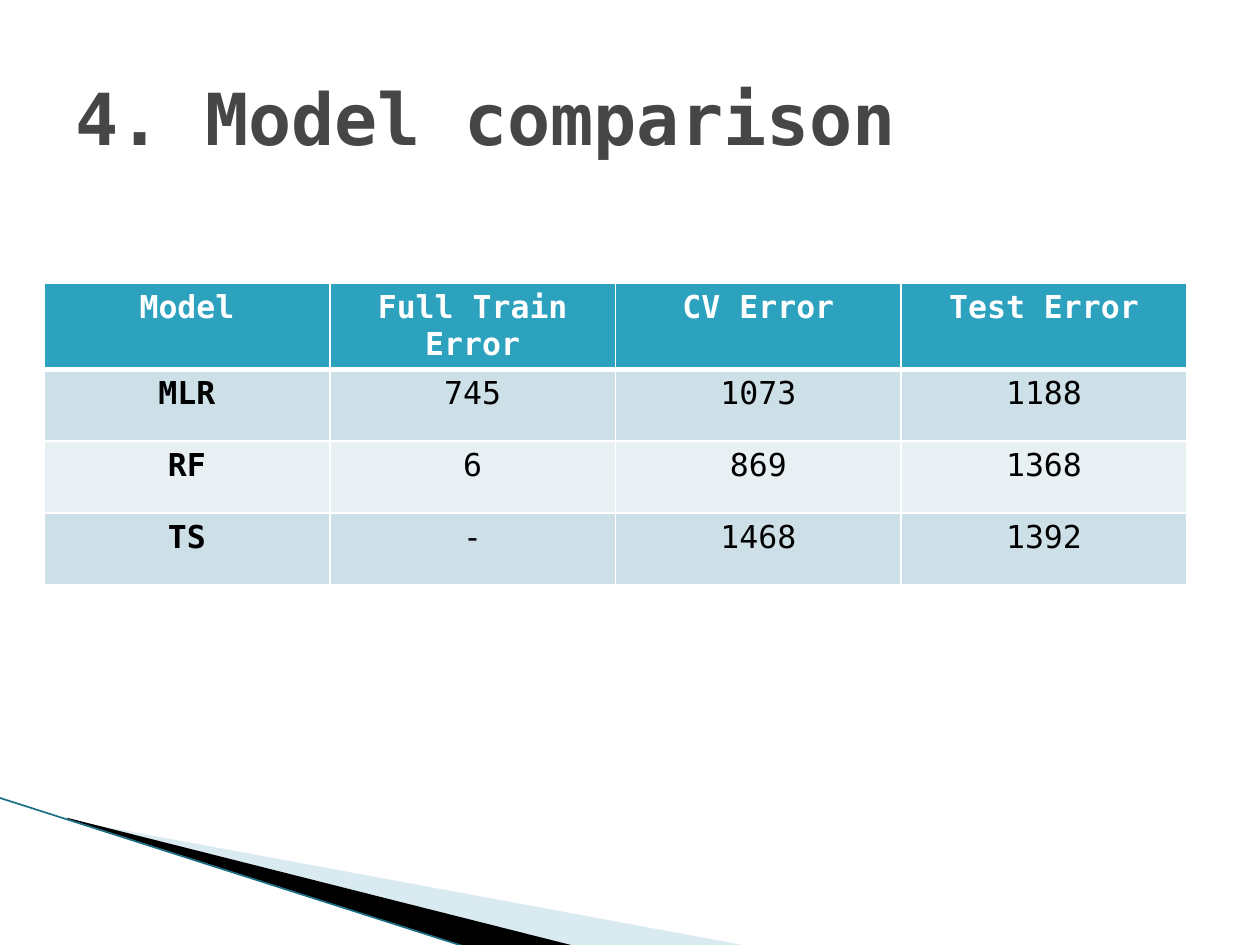
from lxml.etree import SubElement
from pptx import Presentation
from pptx.dml.color import RGBColor
from pptx.enum.shapes import MSO_CONNECTOR as Connector
from pptx.enum.text import MSO_ANCHOR as Anchor, MSO_AUTO_SIZE as AutoSize, PP_ALIGN as Align
from pptx.oxml.ns import qn
from pptx.util import Inches, Pt

WIDTH, HEIGHT = 10, 7.5
FONT = "DejaVu Sans Mono"
HEADER_FILL = "2DA2BF"
BAND_FILLS = ["CDE0E8", "E8F0F4"]
ROWS = [
    ["Model", "Full Train Error", "CV Error", "Test Error"],
    ["MLR", "745", "1073", "1188"],
    ["RF", "6", "869", "1368"],
    ["TS", "-", "1468", "1392"],
]


def color(value):
    return RGBColor.from_string(value)


def add_text(para, text, size, shade, bold):
    span = para.add_run()
    span.text = text
    span.font.name = FONT
    span.font.size = Pt(size)
    span.font.bold = bold
    span.font.color.rgb = color(shade)


def add_title(page, text):
    box = page.shapes.title
    box.left, box.top = Inches(WIDTH * 0.05), Inches(HEIGHT * 0.04)
    box.width, box.height = Inches(WIDTH * 0.9), Inches(HEIGHT / 6)
    frame = box.text_frame
    frame.word_wrap = True
    frame.auto_size = AutoSize.NONE
    frame.vertical_anchor = Anchor.MIDDLE
    para = frame.paragraphs[0]
    para.alignment = Align.LEFT
    add_text(para, text, 41, "464646", True)


def add_wedge(page, points, shade, opacity=100):
    start, *rest = [(Inches(x), Inches(y)) for x, y in points]
    builder = page.shapes.build_freeform(*start)
    builder.add_line_segments(rest, close=True)
    wedge = builder.convert_to_shape()
    wedge.shadow.inherit = False
    wedge.line.fill.background()
    wedge.fill.solid()
    wedge.fill.fore_color.rgb = color(shade)
    if opacity < 100:
        tint = wedge.fill._xPr.find(".//" + qn("a:srgbClr"))
        SubElement(tint, qn("a:alpha"), val=str(opacity * 1000))


def add_line(page, start, end, shade, width):
    ends = [Inches(value) for value in (*start, *end)]
    line = page.shapes.add_connector(Connector.STRAIGHT, *ends)
    line.line.color.rgb = color(shade)
    line.line.width = Pt(width)
    SubElement(line._element.spPr, qn("a:effectLst"))


def add_borders(cell, top, bottom):
    properties = cell._tc.get_or_add_tcPr()
    for side, width in zip("LRTB", (1, 1, top, bottom)):
        edge = SubElement(properties, qn("a:ln" + side), w=str(Pt(width)))
        fill = SubElement(edge, qn("a:solidFill"))
        SubElement(fill, qn("a:srgbClr"), val="FFFFFF")


def add_table(page, rows, left, top, width, height):
    area = [Inches(value) for value in (left, top, width, height)]
    table = page.shapes.add_table(len(rows), len(rows[0]), *area).table
    for row, texts in enumerate(rows):
        header = row == 0
        for column, text in enumerate(texts):
            cell = table.cell(row, column)
            add_borders(cell, 3 if row == 1 else 1, 3 if header else 1)
            cell.fill.solid()
            cell.fill.fore_color.rgb = color(HEADER_FILL if header else BAND_FILLS[(row - 1) % 2])
            para = cell.text_frame.paragraphs[0]
            para.alignment = Align.CENTER
            add_text(para, text, 18, "FFFFFF" if header else "000000", header or column == 0)


def main():
    deck = Presentation()
    deck.slide_width, deck.slide_height = Inches(WIDTH), Inches(HEIGHT)
    page = deck.slides.add_slide(deck.slide_layouts[5])
    add_wedge(page, [(0.55, 6.51), (5.95, 7.51), (4.56, 7.51), (0.55, 6.5)], "A0CBDC", 40)
    add_wedge(page, [(0.53, 6.49), (4.57, 7.51), (3.72, 7.52), (0.54, 6.5)], "000000")
    add_line(page, (-0.01, 6.33), (3.71, 7.52), "1A6F85", 0.95)
    add_table(page, ROWS, 0.35, HEIGHT * 0.3, 9.07, 2.28)
    add_title(page, "4. Model comparison")
    deck.save("out.pptx")


if __name__ == "__main__":
    main()
